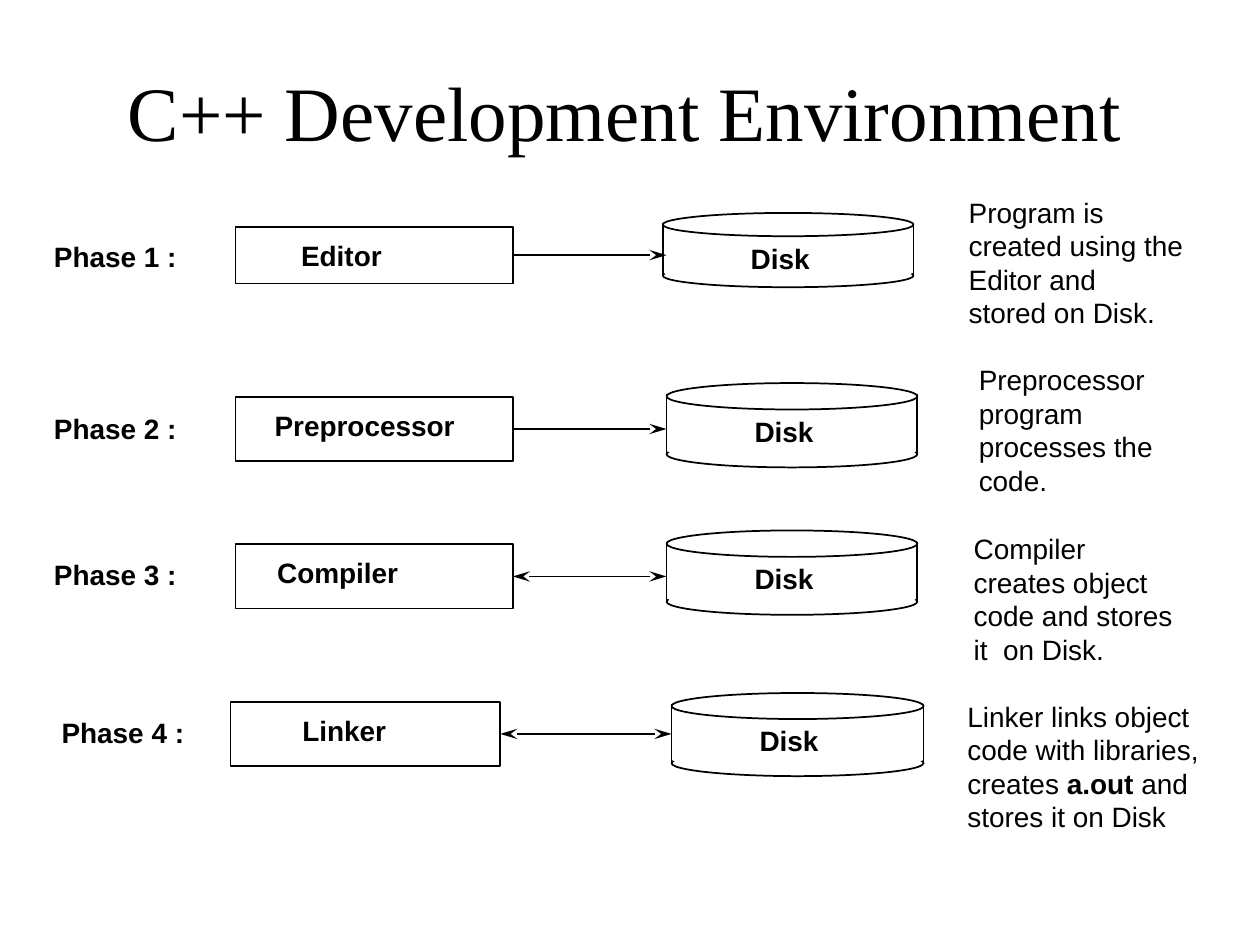
from lxml import etree
from pptx import Presentation
from pptx.dml.color import RGBColor
from pptx.enum import shapes, text
from pptx.oxml import ns
from pptx.util import Inches, Pt

BLACK = RGBColor(0, 0, 0)
WHITE = RGBColor(255, 255, 255)
LINE = Pt(0.99)
DISK_HEIGHT = 0.67

# Content: each note is a list of lines, each line a list of (text, bold) spans
TITLE = "C++ Development Environment"


def plain(*lines):
    return [[(line, False)] for line in lines]


PHASES = [
    dict(label="Phase 1 :", label_at=(0.33, 1.85),
         stage="Editor", stage_at=(1.87, 1.80, 2.20, 0.45), indent=0.52,
         disk_at=(5.26, 1.69, 1.99, 0.59), arrow_to=5.29, two_way=False,
         note_at=(7.59, 1.50, 1.90),
         note=plain("Program is", "created using the", "Editor and ", "stored on Disk.")),
    dict(label="Phase 2 :", label_at=(0.33, 3.22),
         stage="Preprocessor", stage_at=(1.87, 3.15, 2.20, 0.51), indent=0.31,
         disk_at=(5.29, 3.04, 1.99, 0.67), arrow_to=5.29, two_way=False,
         note_at=(7.67, 2.83, 1.64),
         note=plain("Preprocessor", "program", "processes the ", "code.")),
    dict(label="Phase 3 :", label_at=(0.33, 4.38),
         stage="Compiler", stage_at=(1.87, 4.32, 2.20, 0.51), indent=0.33,
         disk_at=(5.29, 4.21, 1.99, 0.67), arrow_to=5.29, two_way=True,
         note_at=(7.63, 4.17, 1.84),
         note=plain("Compiler ", "creates object", "code and stores ", "it  on Disk.")),
    dict(label="Phase 4 :", label_at=(0.39, 5.63),
         stage="Linker", stage_at=(1.83, 5.57, 2.14, 0.51), indent=0.57,
         disk_at=(5.33, 5.50, 2.00, 0.66), arrow_to=5.33, two_way=True,
         note_at=(7.58, 5.50, 2.08),
         note=plain("Linker links object", "code with libraries,")
         + [[("creates ", False), ("a.out ", True), ("and", False)]]
         + plain("stores it on Disk")),
]

deck = Presentation()
deck.slide_width, deck.slide_height = Inches(10), Inches(7.5)
page = deck.slides.add_slide(deck.slide_layouts[5])


def write(shape, lines, insets, anchor, size=16, font="Arial", align=text.PP_ALIGN.LEFT):
    frame = shape.text_frame
    frame.word_wrap = False
    frame.vertical_anchor = anchor
    (frame.margin_left, frame.margin_top,
     frame.margin_right, frame.margin_bottom) = [Inches(v) for v in insets]
    for index, line in enumerate(lines):
        para = frame.add_paragraph() if index else frame.paragraphs[0]
        para.alignment = align
        for words, bold in line:
            span = para.add_run()
            span.text = words
            span.font.size, span.font.name, span.font.bold = Pt(size), font, bold
            span.font.color.rgb = BLACK


def add_text(lines, left, top, width, height):
    box = page.shapes.add_textbox(*map(Inches, (left, top, width, height)))
    write(box, lines, (0.1, 0.05, 0.1, 0.05), text.MSO_ANCHOR.TOP)


def add_shape(kind, place, filled=True, outlined=True):
    shape = page.shapes.add_shape(kind, *map(Inches, place))
    shape.shadow.inherit = False
    if filled:
        shape.fill.solid()
        shape.fill.fore_color.rgb = WHITE
    else:
        shape.fill.background()
    if outlined:
        shape.line.color.rgb = BLACK
        shape.line.width = LINE
    else:
        shape.line.fill.background()
    return shape


def add_line(x1, y1, x2, y2, heads=()):
    line = page.shapes.add_connector(
        shapes.MSO_CONNECTOR.STRAIGHT, *map(Inches, (x1, y1, x2, y2)))
    line.line.color.rgb = BLACK
    line.line.width = LINE
    outline = line.line._get_or_add_ln()
    for tag in heads:
        etree.SubElement(outline, ns.qn(tag), type="stealth", w="med", len="lg")
    etree.SubElement(line._element.spPr, ns.qn("a:effectLst"))


def add_disk(left, top, width, height):
    scale = height / DISK_HEIGHT

    def ring(offset, depth, **style):
        add_shape(shapes.MSO_SHAPE.OVAL,
                  (left, top + offset * scale, width, depth * scale), **style)

    def sides(start, end):
        for x in (left, left + width):
            add_line(x, top + start * scale, x, top + end * scale)

    ring(0, 0.21, filled=False)
    sides(0.09, 0.54)
    # The white oval hides the back half of the bottom ring
    ring(0.46, 0.21, filled=False)
    ring(0.40, 0.25, outlined=False)
    sides(0.43, 0.57)
    add_text([[("Disk", True)]], left + 0.6, top + 0.2 * scale, 0.67, 0.37)


# Title
title = page.shapes.title
title.left, title.top, title.width, title.height = map(Inches, (0.67, 0.25, 8.58, 1.25))
write(title, plain(TITLE), (0.1, 0.05, 0.1, 0.05), text.MSO_ANCHOR.MIDDLE,
      size=44, font="Times New Roman", align=text.PP_ALIGN.CENTER)

# One row per phase: label, stage, disk, arrow, note
for phase in PHASES:
    add_text([[(phase["label"], True)]], *phase["label_at"], 1.18, 0.37)

    stage = add_shape(shapes.MSO_SHAPE.RECTANGLE, phase["stage_at"])
    write(stage, [[(phase["stage"], True)]], (phase["indent"], 0.09, 0, 0),
          text.MSO_ANCHOR.TOP)

    add_disk(*phase["disk_at"])

    left, top, width, height = phase["stage_at"]
    middle = top + height / 2
    heads = ("a:headEnd", "a:tailEnd") if phase["two_way"] else ("a:tailEnd",)
    add_line(left + width, middle, phase["arrow_to"], middle, heads)

    add_text(phase["note"], *phase["note_at"], 1.17)

deck.save("out.pptx")
